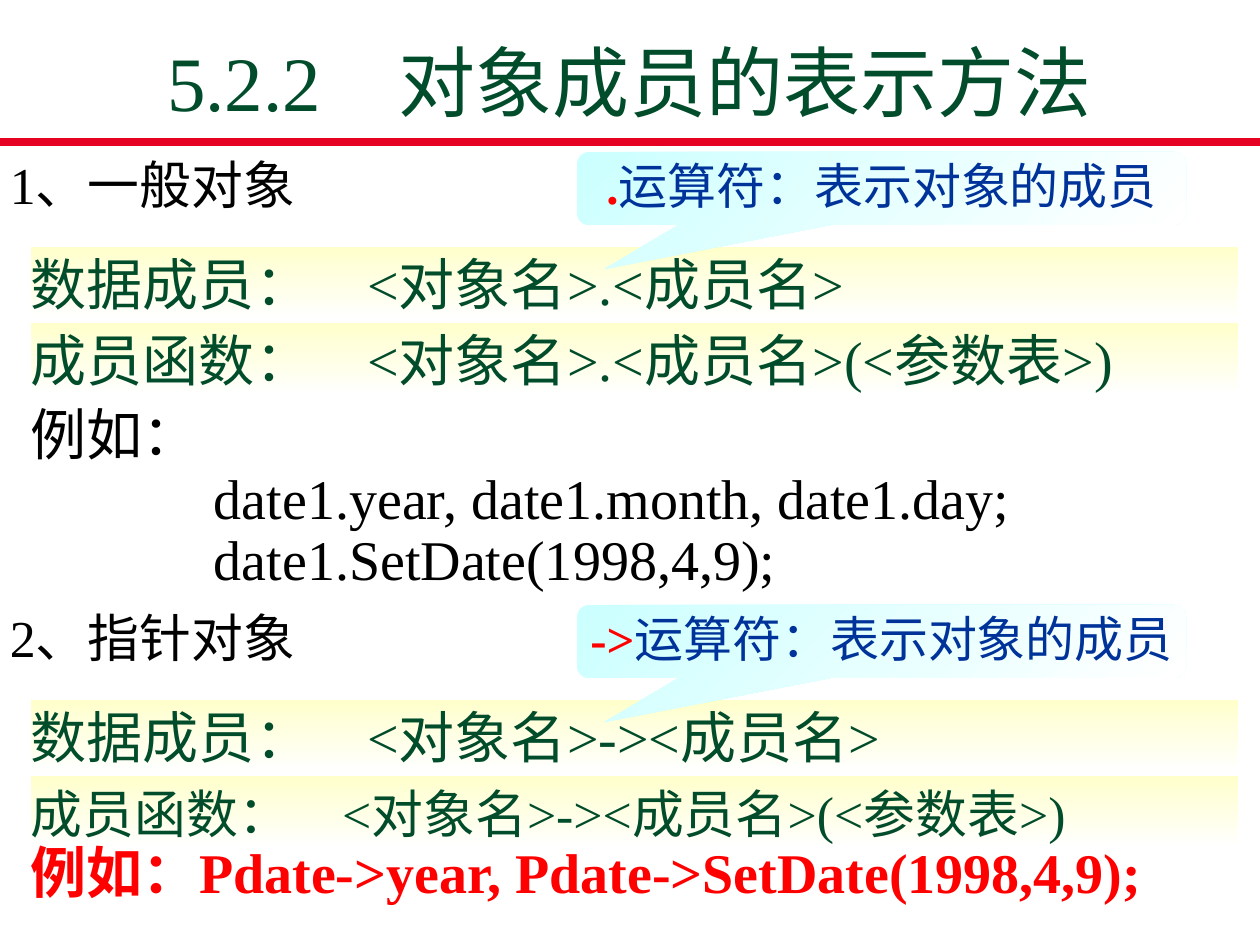
from dataclasses import dataclass

from lxml import etree
from pptx import Presentation
from pptx.dml.color import RGBColor
from pptx.enum.shapes import MSO_CONNECTOR, MSO_SHAPE
from pptx.enum.text import MSO_ANCHOR, MSO_AUTO_SIZE, PP_ALIGN
from pptx.oxml.ns import qn
from pptx.util import Emu, Pt

RECT = MSO_SHAPE.RECTANGLE
BUBBLE = MSO_SHAPE.ROUNDED_RECTANGULAR_CALLOUT
STRAIGHT = MSO_CONNECTOR.STRAIGHT
TOP, MIDDLE = MSO_ANCHOR.TOP, MSO_ANCHOR.MIDDLE
LEFT, CENTER = PP_ALIGN.LEFT, PP_ALIGN.CENTER
FIXED = MSO_AUTO_SIZE.NONE


@dataclass(frozen=True)
class Theme:
    font: str = "Times New Roman"
    green: str = "004C2B"
    black: str = "000000"
    red: str = "FF0000"
    blue: str = "003399"
    rule: str = "E60223"
    cream: str = "FFFFCC"
    aqua: str = "CCFFFF"
    white: str = "FFFFFF"
    title: float = 44
    body: float = 32
    head: float = 29.6
    note: float = 28


theme = Theme()
rgb = RGBColor.from_string


def px(*sizes):
    return [Emu(round(size * 914400 / 126)) for size in sizes]


def write(shape, rows, size, color, before=8, align=LEFT, anchor=MIDDLE, pad=0, bold=False):
    frame = shape.text_frame
    frame.word_wrap = True
    frame.auto_size = FIXED
    frame.vertical_anchor = anchor
    if pad == 0:
        frame.margin_left = frame.margin_right = 0
        frame.margin_top = frame.margin_bottom = 0
    for index, (text, space, indent) in enumerate(rows):
        par = frame.add_paragraph() if index else frame.paragraphs[0]
        par.text = text
        par.alignment = align
        par.line_spacing = space
        par.space_before = Pt(before)
        par.font.name = theme.font
        par.font.size = Pt(size)
        par.font.bold = bold
        par.font.color.rgb = rgb(color)
        if indent:
            par._p.get_or_add_pPr().set("marL", str(px(indent)[0]))
    return frame


deck = Presentation()
deck.slide_width, deck.slide_height = px(1260, 945)
slide = deck.slides.add_slide(deck.slide_layouts[5])
shapes = slide.shapes

title = shapes.title
title.left, title.top, title.width, title.height = px(94, 44, 1071, 73)
write(title, [("5.2.2　对象成员的表示方法", 1.0, 0)], theme.title, theme.green,
      before=0, align=CENTER, pad=1)

rule = shapes.add_connector(STRAIGHT, *px(0, 142, 1260, 142))
rule.line.color.rgb = rgb(theme.rule)
rule.line.width = Pt(4.5)
etree.SubElement(rule._element.spPr, qn("a:effectLst"))

parts = [
    (152, "1、一般对象", ".", theme.body),
    (605, "2、指针对象", "->", theme.head),
]
for top, name, mark, size in parts:
    head = shapes.add_textbox(*px(10, top, 1071, 63))
    write(head, [(name, 1.0, 0)], theme.head, theme.black)

    member = f"<对象名>{mark}<成员名>"
    bars = [
        (95, f"数据成员：　{member}", theme.body),
        (171, f"成员函数：　{member}(<参数表>)", size),
    ]
    items = [(RECT, (31, top + drop, 1207, 73), theme.cream, 270) for drop, _, _ in bars]
    items.append((BUBBLE, (577, top, 609, 73), theme.aqua, 315))
    made = []
    for kind, place, tint, angle in items:
        shape = shapes.add_shape(kind, *px(*place))
        shape.shadow.inherit = False
        shape.line.fill.background()
        shape.fill.gradient()
        shape.fill.gradient_angle = angle
        for stop, color in zip(shape.fill.gradient_stops, (tint, theme.white)):
            stop.color.rgb = rgb(color)
        for stop, point in zip(shape.fill.gradient_stops, (0, 1)):
            stop.position = point
        made.append(shape)

    *rects, bubble = made
    for rect, (_, text, points) in zip(rects, bars):
        write(rect, [(text, 1.0, 0)], points, theme.green)

    for index, value in enumerate((-0.455, 1.104, 0.167)):
        bubble.adjustments[index] = value
    frame = write(bubble, [(mark, 0.9, 0)], theme.note, theme.blue,
                  before=7, align=CENTER, pad=1)
    frame.word_wrap = False
    par = frame.paragraphs[0]
    sign = par.runs[0].font
    sign.bold = True
    sign.color.rgb = rgb(theme.red)
    par.add_run().text = "运算符：表示对象的成员"

sample = shapes.add_textbox(*px(31, 404, 1207, 189))
write(sample, [
    ("例如：", 0.9, 0),
    ("date1.year, date1.month, date1.day;", 0.7, 183),
    ("date1.SetDate(1998,4,9);", 0.7, 183),
], theme.body, theme.black)

last = shapes.add_textbox(*px(31, 845, 1207, 60))
write(last, [("例如：Pdate->year, Pdate->SetDate(1998,4,9);", 0.9, 0)],
      theme.body, theme.red, anchor=TOP, bold=True)

deck.save("out.pptx")
